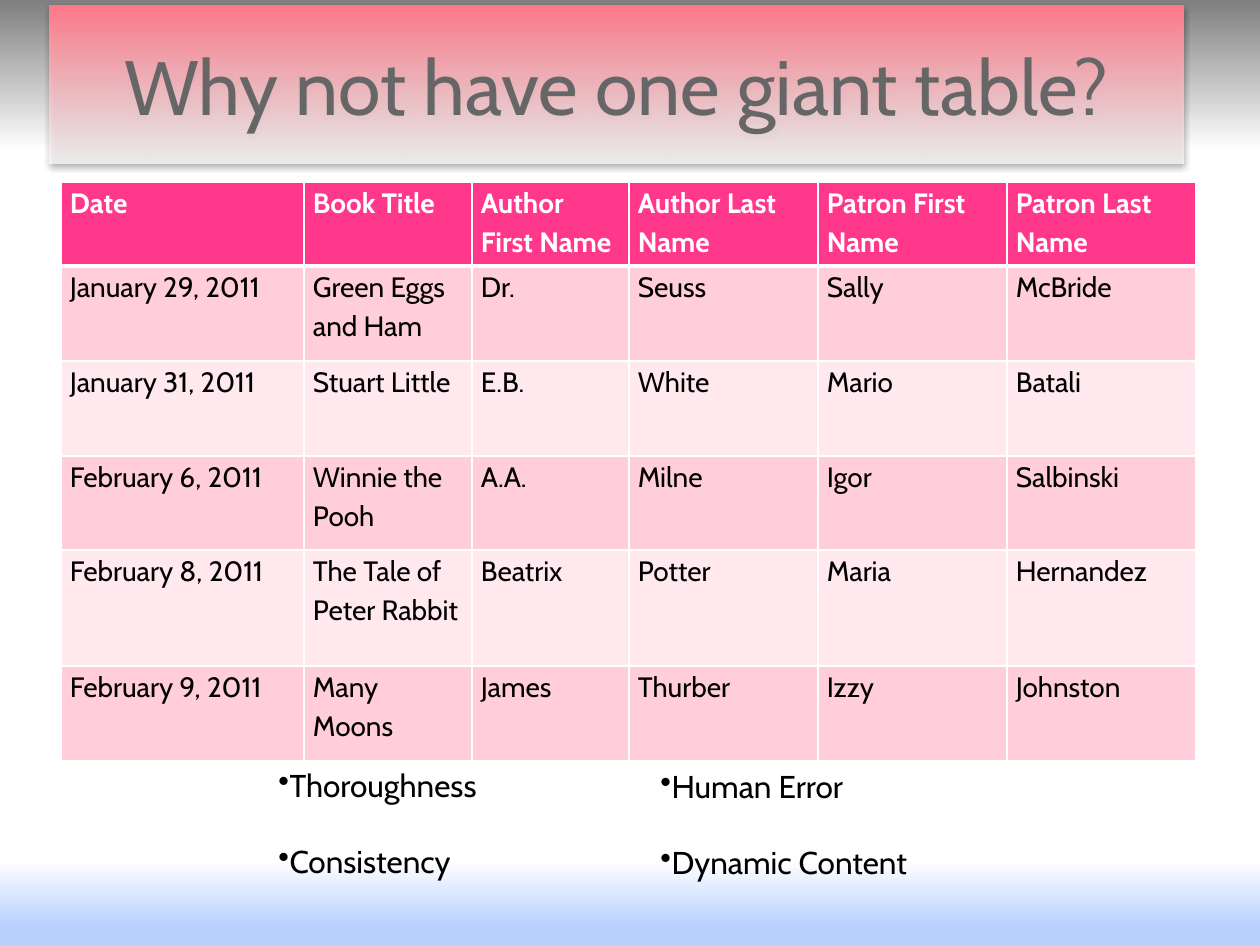
from pptx import Presentation
from pptx.dml.color import RGBColor
from pptx.enum.shapes import MSO_SHAPE as Shape
from pptx.enum.text import MSO_ANCHOR as Anchor, PP_ALIGN as Align
from pptx.oxml import parse_xml
from pptx.oxml.ns import nsdecls, qn
from pptx.util import Pt

PX = 914400 / 126
FONT = "Cabin"
BLACK = RGBColor(0x00, 0x00, 0x00)
WHITE = RGBColor(0xFF, 0xFF, 0xFF)
GREY = RGBColor(0x66, 0x66, 0x66)
SMOKE = RGBColor(0x7F, 0x7F, 0x7F)
SKY = RGBColor(0xB9, 0xD0, 0xFF)
CORAL = RGBColor(0xFF, 0x7A, 0x89)
HOT_PINK = RGBColor(0xFF, 0x38, 0x8C)
BANDS = [RGBColor(0xFF, 0xCE, 0xDA), RGBColor(0xFF, 0xE8, 0xEE)]

BACKGROUND = [(0, SMOKE, 100), (16, WHITE, 100), (91, WHITE, 100), (98, SKY, 100)]
TITLE = "Why not have one giant table?"
TITLE_BOX = (50, 6, 1134, 158)
TITLE_GRADIENT = [(0, CORAL, 100), (100, WHITE, 71)]

TABLE_ORIGIN = (61, 182)
COLUMN_WIDTHS = [243, 168, 157, 189, 189, 189]
ROW_HEIGHTS = [84, 95, 95, 94, 116, 95]
LOANS = [
    ("Date", "Book Title", "Author First Name", "Author Last Name",
     "Patron First Name", "Patron Last Name"),
    ("January 29, 2011", "Green Eggs and Ham", "Dr.", "Seuss", "Sally", "McBride"),
    ("January 31, 2011", "Stuart Little", "E.B.", "White", "Mario", "Batali"),
    ("February 6, 2011", "Winnie the Pooh", "A.A.", "Milne", "Igor", "Salbinski"),
    ("February 8, 2011", "The Tale of Peter Rabbit", "Beatrix", "Potter", "Maria", "Hernandez"),
    ("February 9, 2011", "Many Moons", "James", "Thurber", "Izzy", "Johnston"),
]
BULLET_LISTS = [
    ((266, 760, 277, 127), ["Thoroughness", "Consistency"]),
    ((648, 761, 301, 127), ["Human Error", "Dynamic Content"]),
]


def px(*lengths):
    return [round(length * PX) for length in lengths]


def set_font(paragraph, size, color, bold=False):
    font = paragraph.font
    font.name, font.size, font.bold = FONT, Pt(size), bold
    font.color.rgb = color


def set_gradient(fill, element, stops):
    fill.gradient()
    gradient = element.find(".//" + qn("a:gradFill"))
    marks = "".join(
        f'<a:gs pos="{position * 1000}"><a:srgbClr val="{color}">'
        f'<a:alpha val="{alpha * 1000}"/></a:srgbClr></a:gs>'
        for position, color, alpha in stops)
    gradient.getparent().replace(gradient, parse_xml(
        f'<a:gradFill {nsdecls("a")} rotWithShape="1"><a:gsLst>{marks}</a:gsLst>'
        '<a:lin ang="5400000" scaled="0"/></a:gradFill>'))


def add_title(slide):
    shape = slide.shapes.add_shape(Shape.RECTANGLE, *px(*TITLE_BOX))
    set_gradient(shape.fill, shape.element, TITLE_GRADIENT)
    shape.line.fill.background()
    shape.shadow.inherit = False
    shape.element.spPr.find(qn("a:effectLst")).append(parse_xml(
        f'<a:outerShdw {nsdecls("a")} blurRad="{Pt(3.1)}" dist="{Pt(1.6)}" dir="5400000" '
        f'rotWithShape="0"><a:srgbClr val="{BLACK}"><a:alpha val="38000"/></a:srgbClr>'
        '</a:outerShdw>'))
    shape.text_frame.vertical_anchor = Anchor.MIDDLE
    paragraph = shape.text_frame.paragraphs[0]
    paragraph.text, paragraph.alignment = TITLE, Align.CENTER
    set_font(paragraph, 44, GREY)


def set_borders(cell, bottom):
    properties = cell._tc.get_or_add_tcPr()
    for index, (side, width) in enumerate(zip("LRTB", (1, 1, 1, bottom))):
        properties.insert(index, parse_xml(
            f'<a:ln{side} {nsdecls("a")} w="{Pt(width)}"><a:solidFill>'
            f'<a:srgbClr val="{WHITE}"/></a:solidFill></a:ln{side}>'))


def add_loans(slide):
    size = sum(COLUMN_WIDTHS), sum(ROW_HEIGHTS)
    table = slide.shapes.add_table(
        len(LOANS), len(COLUMN_WIDTHS), *px(*TABLE_ORIGIN, *size)).table
    for column, width in zip(table.columns, px(*COLUMN_WIDTHS)):
        column.width = width
    for number, (row, height, texts) in enumerate(zip(table.rows, px(*ROW_HEIGHTS), LOANS)):
        row.height = height
        header = number == 0
        for cell, text in zip(row.cells, texts):
            cell.margin_left, cell.margin_right = px(9, 9)
            cell.margin_top = cell.margin_bottom = 0
            cell.fill.solid()
            cell.fill.fore_color.rgb = HOT_PINK if header else BANDS[(number - 1) % 2]
            set_borders(cell, 3 if header else 1)
            paragraph = cell.text_frame.paragraphs[0]
            paragraph.text, paragraph.line_spacing = text, 1.15
            set_font(paragraph, 16, WHITE if header else BLACK, header)


def add_bullets(slide, box, items):
    frame = slide.shapes.add_textbox(*px(*box)).text_frame
    frame.word_wrap = True
    frame.text = "\n".join(items)
    for number, paragraph in enumerate(frame.paragraphs):
        paragraph.space_before = Pt(22 if number else 0)
        set_font(paragraph, 18, BLACK)
        properties = paragraph._p.get_or_add_pPr()
        properties.find(qn("a:defRPr")).addprevious(
            parse_xml(f'<a:buChar {nsdecls("a")} char="•"/>'))


def main():
    """Build the slide on why one giant table is a poor design."""
    presentation = Presentation()
    presentation.slide_width, presentation.slide_height = px(1260, 945)
    slide = presentation.slides.add_slide(presentation.slide_layouts[6])
    set_gradient(slide.background.fill, slide.element, BACKGROUND)
    add_title(slide)
    add_loans(slide)
    for box, items in BULLET_LISTS:
        add_bullets(slide, box, items)
    presentation.save("out.pptx")


if __name__ == "__main__":
    main()
